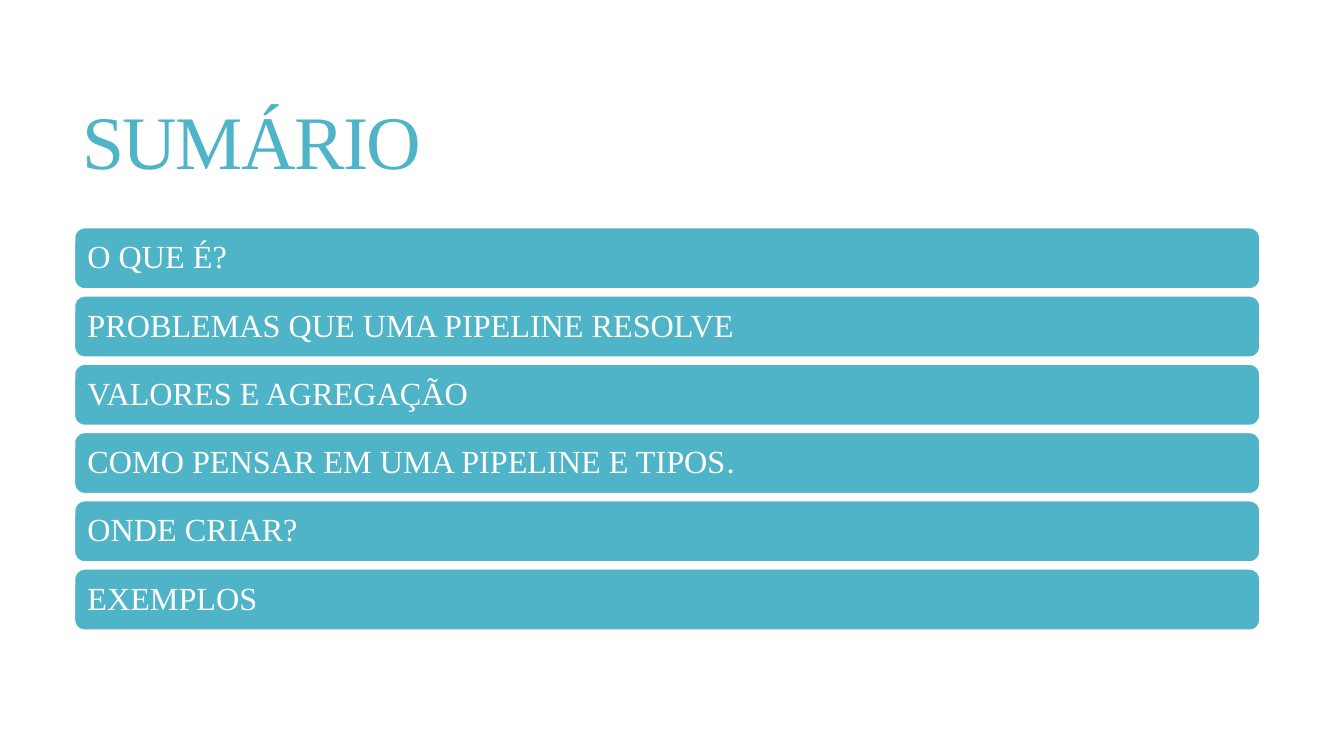
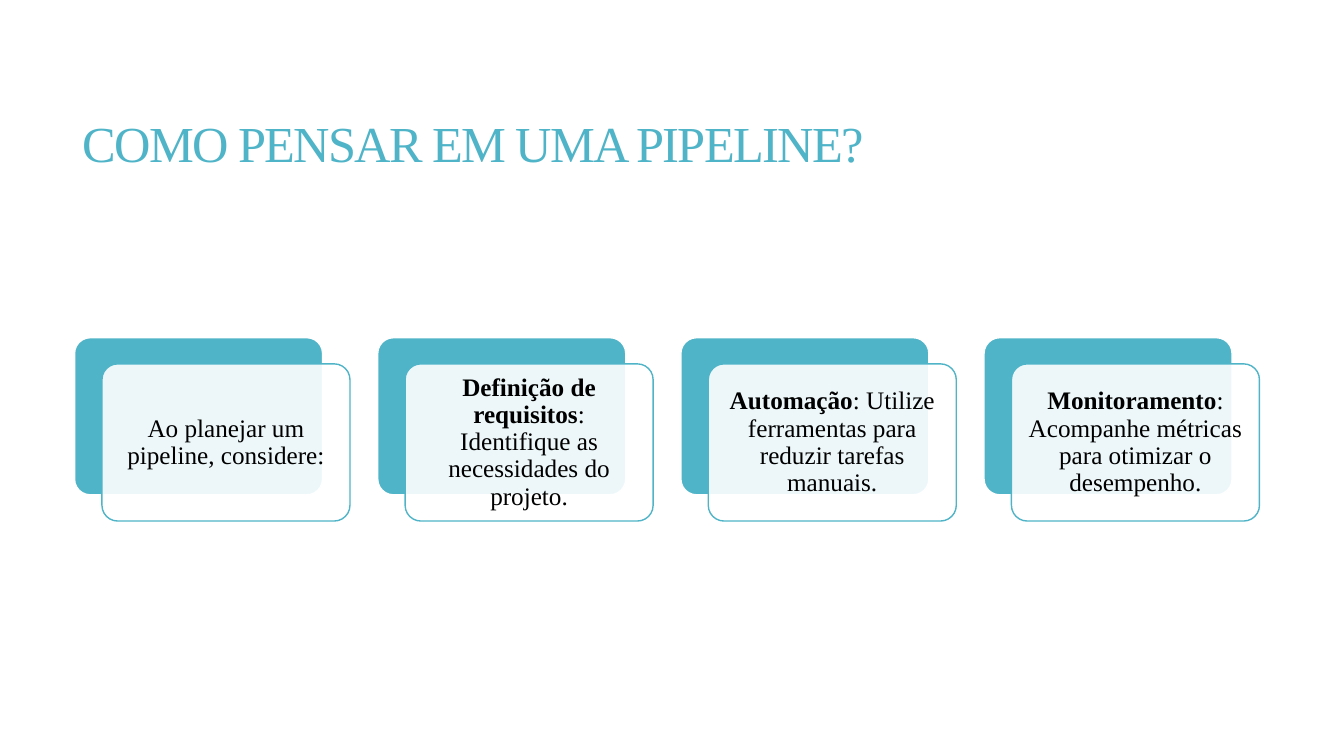
from lxml.etree import SubElement
from pptx import Presentation
from pptx.dml.color import RGBColor
from pptx.enum.shapes import MSO_SHAPE
from pptx.enum.text import MSO_ANCHOR, PP_ALIGN
from pptx.oxml.ns import qn
from pptx.util import Cm, Pt

COLORS = {"teal": "50B4C8", "white": "FFFFFF", "black": "000000"}
FONT = "Times New Roman"
LEFT = 1.88  # shared left edge of bars and cards, in cm

TOPICS = [
    [("O QUE É?", FONT)],
    [("PROBLEMAS QUE UMA PIPELINE RESOLVE", FONT)],
    [("VALORES E AGREGAÇÃO", FONT)],
    [("COMO PENSAR EM UMA PIPELINE E TIPOS", FONT), (".", "Calibri")],
    [("ONDE CRIAR?", FONT)],
    [("EXEMPLOS", FONT)],
]
# Bold lead, then plain text
STEPS = [
    ("", "Ao planejar um pipeline, considere:"),
    ("Definição de requisitos", ": Identifique as necessidades do projeto."),
    ("Automação", ": Utilize ferramentas para reduzir tarefas manuais."),
    ("Monitoramento", ": Acompanhe métricas para otimizar o desempenho."),
]


def rgb(name):
    return RGBColor.from_string(COLORS[name])


def add_run(p, text, size, color, font=FONT, bold=False):
    r = p.add_run()
    r.text = text
    r.font.name = font
    r.font.size = Pt(size)
    r.font.bold = bold
    r.font.color.rgb = rgb(color)
    return r


def set_frame(tf, align, spacing, inset):
    tf.word_wrap = True
    tf.vertical_anchor = MSO_ANCHOR.MIDDLE
    tf.margin_left = tf.margin_right = Cm(inset)
    tf.margin_top = tf.margin_bottom = Cm(inset)
    p = tf.paragraphs[0]
    p.alignment = align
    p.line_spacing = spacing
    return p


def add_titled_slide(prs, title, size):
    slide = prs.slides.add_slide(prs.slide_layouts[5])
    sp = slide.shapes.title
    sp.left, sp.top, sp.width, sp.height = Cm(1.83), Cm(1.4), Cm(29.92), Cm(4.6)
    p = set_frame(sp.text_frame, PP_ALIGN.LEFT, 0.85, 0.25)
    r = add_run(p, title, size, "teal")
    r.font._element.set("spc", "-120")
    return slide


def add_box(slide, x, y, w, h, fill, line, opacity=100):
    sp = slide.shapes.add_shape(MSO_SHAPE.ROUNDED_RECTANGLE, Cm(x), Cm(y), Cm(w), Cm(h))
    sp.shadow.inherit = False
    sp.fill.solid()
    sp.fill.fore_color.rgb = rgb(fill)
    sp.line.color.rgb = rgb(line)
    sp.line.width = Pt(1)
    if opacity < 100:
        color = sp.fill._xPr.find(qn("a:solidFill"))[0]
        SubElement(color, qn("a:alpha"), val=str(opacity * 1000))
    return sp


def add_topic_bar(slide, y, runs):
    sp = add_box(slide, LEFT, y, 29.87, 1.54, "teal", "white")
    p = set_frame(sp.text_frame, PP_ALIGN.LEFT, 0.9, 0.25)
    for text, font in runs:
        add_run(p, text, 23, "white", font)


def add_step_card(slide, x, lead, text):
    y, w, h = 8.51, 6.25, 3.96
    back = add_box(slide, x, y, w, h, "teal", "white")
    front = add_box(slide, x + 0.69, y + 0.66, w, h, "white", "teal", opacity=90)
    for sp in (back, front):
        sp.adjustments[0] = 0.1
    p = set_frame(front.text_frame, PP_ALIGN.CENTER, 0.9, 0.18)
    if lead:
        add_run(p, lead, 18, "black", bold=True)
    add_run(p, text, 18, "black")


def main():
    prs = Presentation()
    prs.slide_width, prs.slide_height = Cm(33.87), Cm(19.05)

    # Summary: stacked bars
    slide = add_titled_slide(prs, "SUMÁRIO", 54)
    for i, runs in enumerate(TOPICS):
        add_topic_bar(slide, 5.74 + i * 1.72, runs)

    # Planning steps: row of layered cards
    slide = add_titled_slide(prs, "COMO PENSAR EM UMA PIPELINE?", 36)
    for i, (lead, text) in enumerate(STEPS):
        add_step_card(slide, LEFT + i * 7.64, lead, text)

    prs.save("out.pptx")


main()
